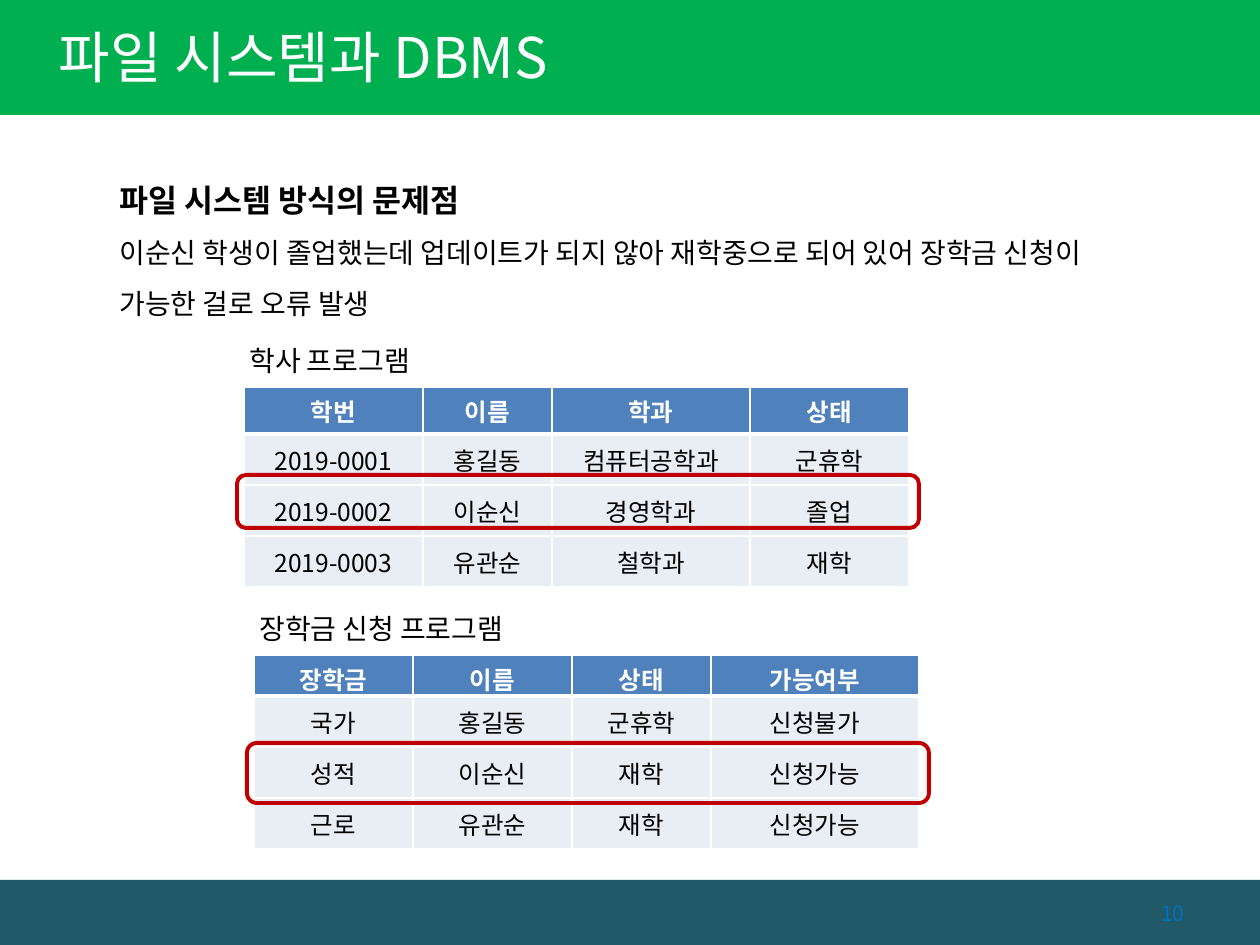
from lxml import etree
from pptx import Presentation, util as u
from pptx.dml.color import RGBColor
from pptx.enum import shapes, text
from pptx.oxml import ns

FONT = "Noto Sans CJK KR"
WHITE, BLACK, RED, BLUE = "FFFFFF", "000000", "C00000", "0070C0"
LEFT, CENTER, RIGHT = text.PP_ALIGN.LEFT, text.PP_ALIGN.CENTER, text.PP_ALIGN.RIGHT
ROW_HEIGHT = 51


def px(length):
    return u.Emu(round(length * 914400 / 126))


def color(hex_code):
    return RGBColor.from_string(hex_code)


def write(paragraph, words, size=16, ink=BLACK, bold=False, align=LEFT, spacing=None):
    run = paragraph.add_run()
    run.text = words
    font = run.font
    font.size, font.bold, font.name = u.Pt(size), bold, FONT
    font.color.rgb = color(ink)
    east_asian = etree.SubElement(run._r.get_or_add_rPr(), ns.qn("a:ea"))
    east_asian.set("typeface", FONT)
    paragraph.alignment = align
    if spacing:
        paragraph.line_spacing = spacing


def place(shape, left, top, width, height):
    shape.left, shape.top = px(left), px(top)
    shape.width, shape.height = px(width), px(height)


def add_outline(slide, kind, box, fill=None, line=None, weight=1):
    shape = slide.shapes.add_shape(kind, *map(px, box))
    shape.shadow.inherit = False
    if fill:
        shape.fill.solid()
        shape.fill.fore_color.rgb = color(fill)
    else:
        shape.fill.background()
    if line:
        shape.line.color.rgb = color(line)
        shape.line.width = u.Pt(weight)
    else:
        shape.line.fill.background()


def add_label(slide, box, words, **style):
    frame = slide.shapes.add_textbox(*map(px, box)).text_frame
    frame.word_wrap = True
    write(frame.paragraphs[0], words, **style)


def add_header(slide, left, top, width, height):
    add_outline(slide, shapes.MSO_SHAPE.RECTANGLE, (left, top, width, height), "00B050")
    title = slide.shapes.title
    slide.shapes.element.append(title.element)  # in front of the band
    place(title, left, top - 2, 789, height + 2)
    frame = title.text_frame
    frame.margin_left = px(59)
    frame.vertical_anchor = text.MSO_ANCHOR.MIDDLE
    write(frame.paragraphs[0], "파일 시스템과 DBMS", size=32, ink=WHITE)


def add_footer(slide, left, top, width, height):
    add_outline(slide, shapes.MSO_SHAPE.RECTANGLE, (left, top, width, height), "215968")
    add_label(slide, (left + 1097, top + 14, 100, 44), "10",
              size=12, ink=BLUE, align=RIGHT)


def add_problem(slide, left, top, width, height):
    body = slide.placeholders[1]
    place(body, left, top, width, height)
    frame = body.text_frame
    frame.auto_size = text.MSO_AUTO_SIZE.NONE
    frame.vertical_anchor = text.MSO_ANCHOR.TOP
    heading, detail = frame.paragraphs[0], frame.add_paragraph()
    write(heading, "파일 시스템 방식의 문제점", size=18, bold=True, spacing=1.5)
    write(detail, "이순신 학생이 졸업했는데 업데이트가 되지 않아 재학중으로 되어 있어 "
                  "장학금 신청이 가능한 걸로 오류 발생", spacing=1.5)
    for paragraph in (heading, detail):
        paragraph.space_before = u.Pt(0)
        properties = paragraph._p.get_or_add_pPr()
        properties.set("marL", "0")
        properties.set("indent", "0")
        etree.SubElement(properties, ns.qn("a:buNone"))


def set_borders(cell, bottom):
    properties = cell._tc.get_or_add_tcPr()
    sides = (("lnL", 1), ("lnR", 1), ("lnT", 1), ("lnB", bottom))
    for position, (side, weight) in enumerate(sides):
        line = etree.Element(ns.qn(f"a:{side}"), w=str(u.Pt(weight)))
        fill = etree.SubElement(line, ns.qn("a:solidFill"))
        etree.SubElement(fill, ns.qn("a:srgbClr"), val=WHITE)
        properties.insert(position, line)


def add_program(slide, left, top, caption, widths, header_height, header_bottom, rows):
    """Captioned table; header_bottom is the inset below the header text."""
    add_label(slide, (left - 7, top - 50, 335, 47), caption)
    frame = slide.shapes.add_table(
        len(rows), len(widths), px(left), px(top), px(sum(widths)),
        px(header_height + ROW_HEIGHT * (len(rows) - 1)))
    table = frame.table
    table.first_row = table.horz_banding = False
    for column, width in zip(table.columns, widths):
        column.width = px(width)
    for r, values in enumerate(rows):
        header = r == 0
        table.rows[r].height = px(header_height if header else ROW_HEIGHT)
        for c, value in enumerate(values):
            cell = table.cell(r, c)
            cell.vertical_anchor = text.MSO_ANCHOR.MIDDLE
            cell.fill.solid()
            cell.fill.fore_color.rgb = color("4F81BD" if header else "E9EDF4")
            if header:
                cell.margin_bottom = px(header_bottom)
            set_borders(cell, 3 if header else 1)
            write(cell.text_frame.paragraphs[0], value, size=14, bold=header,
                  ink=WHITE if header else BLACK, align=CENTER)


def main():
    prs = Presentation()
    prs.slide_width, prs.slide_height = px(1260), px(945)
    slide = prs.slides.add_slide(prs.slide_layouts[1])

    add_footer(slide, 0, 880, 1260, 65)
    add_header(slide, 0, 0, 1260, 115)
    add_problem(slide, 107, 156, 1042, 165)
    add_program(slide, 244, 387, "학사 프로그램", (179, 129, 198, 159), 47, 6, [
        ("학번", "이름", "학과", "상태"),
        ("2019-0001", "홍길동", "컴퓨터공학과", "군휴학"),
        ("2019-0002", "이순신", "경영학과", "졸업"),
        ("2019-0003", "유관순", "철학과", "재학"),
    ])
    add_program(slide, 254, 655, "장학금 신청 프로그램", (159, 159, 139, 208), 41, 0, [
        ("장학금", "이름", "상태", "가능여부"),
        ("국가", "홍길동", "군휴학", "신청불가"),
        ("성적", "이순신", "재학", "신청가능"),
        ("근로", "유관순", "재학", "신청가능"),
    ])
    for highlight in ((247, 743, 682, 60), (237, 475, 682, 53)):
        add_outline(slide, shapes.MSO_SHAPE.ROUNDED_RECTANGLE, highlight,
                    line=RED, weight=2.25)
    prs.save("out.pptx")


if __name__ == "__main__":
    main()
